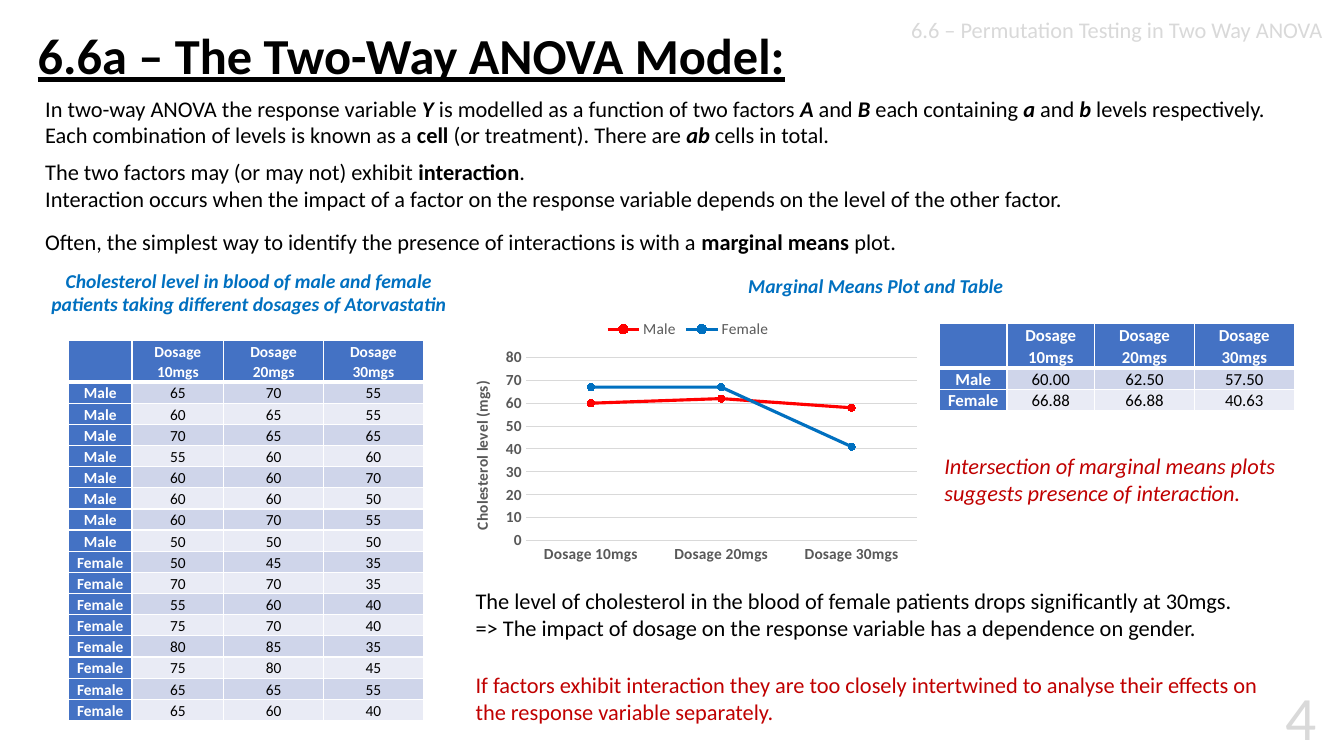
"""Build the slide on the two-way ANOVA model."""
from dataclasses import dataclass
from lxml.etree import SubElement
from pptx import Presentation
from pptx.chart.data import CategoryChartData as ChartData
from pptx.dml.color import RGBColor as Color
from pptx.enum.chart import XL_CHART_TYPE as Kind, XL_LEGEND_POSITION as Spot
from pptx.enum.chart import XL_MARKER_STYLE as Mark, XL_TICK_MARK as Tick
from pptx.enum.text import MSO_ANCHOR as Anchor, PP_ALIGN as Align
from pptx.oxml.ns import qn
from pptx.util import Inches, Pt


@dataclass(frozen=True)
class Theme:
    """Colours, font and type sizes."""
    font: str = "Calibri"
    ink: str = "000000"
    white: str = "FFFFFF"
    head: str = "4472C4"
    bands: tuple = ("CFD5EA", "E9EBF5")
    blue: str = "0070C0"
    red: str = "FF0000"
    alert: str = "C00000"
    gray: str = "595959"
    pale: str = "D9D9D9"
    title: int = 36
    page: int = 44
    body: int = 16
    label: int = 14
    cell: int = 12
    small: int = 11


T = Theme()
UNIT = 0.1
WIDE, HIGH = 133.33, 75
BODY = dict(size=T.body, align=Align.JUSTIFY)
NOTE = dict(size=T.body)
LABEL = dict(size=T.label, color=T.blue, bold=True, italic=True, align=Align.CENTER)

TEXTS = [
    ((3.5, 8.9, 124.9, 7.4), [
        "In two-way ANOVA the response variable *_Y_* is modelled as a function of two factors "
        "*_A_* and *_B_* each containing *_a_* and *_b_* levels respectively.",
        "Each combination of levels is known as a *cell *(or treatment). "
        "There are *_ab_* cells in total."], BODY),
    ((3.5, 15.2, 122.8, 7.4), [
        "The two factors may (or may not) exhibit *interaction*. ",
        "Interaction occurs when the impact of a factor on the response variable "
        "depends on the level of the other factor."], BODY),
    ((3.5, 22.1, 122.8, 4), [
        "Often, the simplest way to identify the presence of interactions is with a "
        "*marginal means* plot."], BODY),
    ((3.5, 26.15, 42.4, 6.7), [
        "Cholesterol level in blood of male and female patients "
        "taking different dosages of Atorvastatin"], LABEL),
    ((49.7, 26.7, 74.4, 4), ["Marginal Means Plot and Table"], LABEL),
    ((92.7, 44.4, 36.4, 10.5), [
        "Intersection of marginal means plots suggests presence of interaction."],
     dict(NOTE, color=T.alert, italic=True)),
    ((46.2, 57.8, 80.1, 7.4), [
        "The level of cholesterol in the blood of female patients drops significantly "
        "at 30mgs. \n=> The impact of dosage on the response variable has a dependence "
        "on gender."], NOTE),
    ((46.2, 66.1, 80.1, 8), [
        "If factors exhibit interaction they are too closely intertwined to analyse "
        "their effects on the response variable separately."], dict(NOTE, color=T.alert)),
    ((2.75, 2.5, 89.3, 6.6), ["6.6a – The Two-Way ANOVA Model:"],
     dict(size=T.title, bold=True, line=True, lead=0.9, anchor=Anchor.MIDDLE)),
    ((82, 1.1, 50.2, 3.7), ["6.6 – Permutation Testing in Two Way ANOVA"],
     dict(NOTE, color=T.pale, align=Align.RIGHT)),
    ((121.4, 67, 10.2, 8), ["4"],
     dict(size=T.page, color=T.pale, align=Align.RIGHT, anchor=Anchor.MIDDLE)),
]
DOSES = ["Dosage 10mgs", "Dosage 20mgs", "Dosage 30mgs"]
LEVELS = {
    "Male": [(65, 70, 55), (60, 65, 55), (70, 65, 65), (55, 60, 60),
             (60, 60, 70), (60, 60, 50), (60, 70, 55), (50, 50, 50)],
    "Female": [(50, 45, 35), (70, 70, 35), (55, 60, 40), (75, 70, 40),
               (80, 85, 35), (75, 80, 45), (65, 65, 55), (65, 60, 40)],
}
MEANS = {"Male": (60, 62.5, 57.5), "Female": (66.88, 66.88, 40.63)}
HUES = {"Male": T.red, "Female": T.blue}
TABLES = [
    ((6.8, 33.8), (6.3, 9.1, 9.9, 9.9), 4.1, T.small,
     [(sex, *row) for sex, rows in LEVELS.items() for row in rows]),
    ((93.2, 32.1), (6.7, 8.7, 9.9, 9.9), 4.4, T.cell,
     [(sex, *(f"{mean:.2f}" for mean in row)) for sex, row in MEANS.items()]),
]
ROW = 2.1
PLOT = (44.6, 30.6, 47.3, 25.6)


def span(*units):
    """Turn grid units into lengths."""
    return [Inches(unit * UNIT) for unit in units]


def write(frame, paras, size=16, color=T.ink, bold=False, italic=False, line=False,
          align=Align.LEFT, lead=None, after=None, anchor=Anchor.TOP):
    """Fill a frame; *stars* mark bold and _bars_ mark italic."""
    frame.word_wrap = True
    frame.vertical_anchor = anchor
    for i, text in enumerate(paras):
        para = frame.add_paragraph() if i else frame.paragraphs[0]
        para.alignment, para.line_spacing = align, lead
        if after:
            para.space_after = Pt(after)
        for j, row in enumerate(text.split("\n")):
            if j:
                para.add_line_break()
            for k, part in enumerate(row.split("*")):
                for m, bit in enumerate(part.split("_")):
                    if bit:
                        run = para.add_run()
                        run.text = bit
                        style(run.font, size, color, bold or k % 2 == 1)
                        run.font.italic = italic or m % 2 == 1
                        run.font.underline = line


def style(font, size, color, bold=False):
    """Set the face of a font."""
    font.name, font.size, font.bold = T.font, Pt(size), bold
    font.color.rgb = Color.from_string(color)


def edge(cell, base):
    """Rule a cell in white, with a given bottom width."""
    props = cell._tc.get_or_add_tcPr()
    for side, width in zip("LRTB", (1, 1, 1, base)):
        rule = SubElement(props, qn(f"a:ln{side}"), w=str(Pt(width)))
        SubElement(SubElement(rule, qn("a:solidFill")), qn("a:srgbClr"), val=T.white)


def grid(slide, spot, cols, top, size, rows):
    """Add a banded table with a head row and head column."""
    rows = [("", *DOSES), *rows]
    highs = [top] + [ROW] * (len(rows) - 1)
    table = slide.shapes.add_table(
        len(rows), len(cols), *span(*spot, sum(cols), sum(highs))).table
    for col, wide in zip(table.columns, span(*cols)):
        col.width = wide
    for r, (row, high) in enumerate(zip(rows, span(*highs))):
        table.rows[r].height = high
        for c, value in enumerate(row):
            cell, lead = table.cell(r, c), r == 0 or c == 0
            edge(cell, 1 if r else 3)
            cell.fill.solid()
            cell.fill.fore_color.rgb = Color.from_string(T.head if lead else T.bands[(r - 1) % 2])
            cell.margin_left = cell.margin_right = Inches(0.07)
            cell.margin_top = cell.margin_bottom = 0
            write(cell.text_frame, [str(value)], size=size, bold=lead, lead=1.07, after=8,
                  color=T.white if lead else T.ink, align=Align.CENTER)
            cell.vertical_anchor = Anchor.BOTTOM


def place(node, index, **shares):
    """Fix a chart part at shares of the chart's size."""
    for old in node.findall(qn("c:layout")):
        node.remove(old)
    spot = SubElement(node, qn("c:layout"))
    node.insert(index, spot)
    box = SubElement(spot, qn("c:manualLayout"))
    if "w" in shares:
        SubElement(box, qn("c:layoutTarget"), val="inner")
    for axis in "xy":
        SubElement(box, qn(f"c:{axis}Mode"), val="edge")
    for key, share in shares.items():
        SubElement(box, qn(f"c:{key}"), val=str(share))


def plot(slide):
    """Add the marginal means chart."""
    data = ChartData(number_format="0")
    data.categories = DOSES
    for sex, row in MEANS.items():
        data.add_series(sex, [round(mean) for mean in row])
    chart = slide.shapes.add_chart(Kind.LINE_MARKERS, *span(*PLOT), data).chart
    style(chart.font, 10, T.ink)
    chart.has_title = False
    chart.has_legend = True
    chart.legend.position, chart.legend.include_in_layout = Spot.TOP, False
    style(chart.legend.font, T.small, T.gray)
    cats, vals = chart.category_axis, chart.value_axis
    for axis in (cats, vals):
        axis.major_tick_mark = axis.minor_tick_mark = Tick.NONE
        style(axis.tick_labels.font, T.small, T.gray, True)
    vals.minimum_scale, vals.maximum_scale, vals.major_unit = 0, 80, 10
    vals.format.line.fill.background()
    for rule in (cats.format.line, vals.major_gridlines.format.line):
        rule.color.rgb, rule.width = Color.from_string(T.pale), Pt(0.75)
    write(vals.axis_title.text_frame, ["Cholesterol level (mgs)"],
          size=T.small, color=T.gray, bold=True)
    place(vals.axis_title._element, 1, x=0.04, y=0.27)
    place(chart._chartSpace.chart.plotArea, 0, x=0.16, y=0.19, w=0.82, h=0.71)
    chart.plots[0].vary_by_categories = False
    for line in chart.plots[0].series:
        hue = Color.from_string(HUES[line.name])
        line.smooth = False
        line.format.line.color.rgb, line.format.line.width = hue, Pt(2.25)
        line.marker.style, line.marker.size = Mark.CIRCLE, 5
        line.marker.format.fill.solid()
        line.marker.format.fill.fore_color.rgb = line.marker.format.line.color.rgb = hue


def main():
    """Build and save the slide."""
    deck = Presentation()
    deck.slide_width, deck.slide_height = span(WIDE, HIGH)
    slide = deck.slides.add_slide(deck.slide_layouts[6])
    for box, paras, form in TEXTS:
        write(slide.shapes.add_textbox(*span(*box)).text_frame, paras, **form)
    for table in TABLES:
        grid(slide, *table)
    plot(slide)
    deck.save("out.pptx")


if __name__ == "__main__":
    main()
